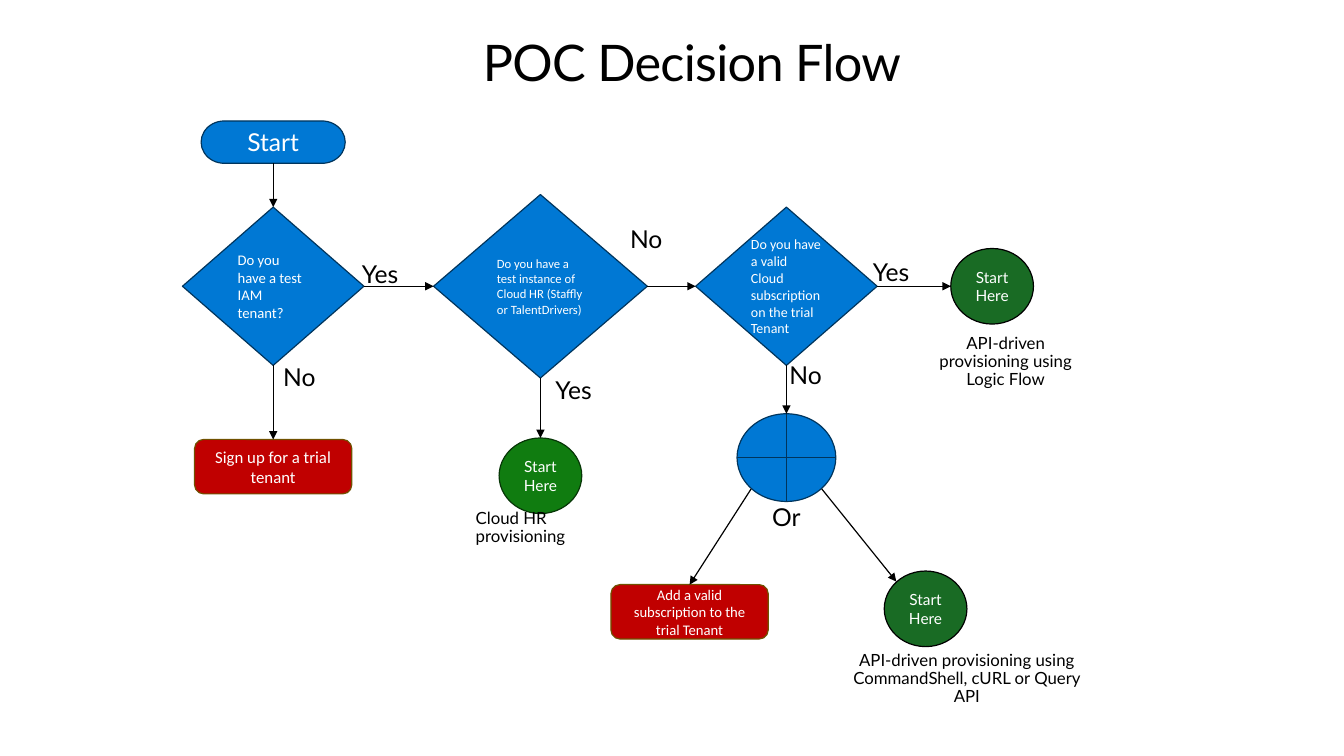
from pptx import Presentation
from pptx.dml.color import RGBColor
from pptx.enum.shapes import MSO_CONNECTOR, MSO_SHAPE
from pptx.enum.text import MSO_ANCHOR, PP_ALIGN
from pptx.oxml.ns import qn
from pptx.util import Inches, Pt
from lxml.etree import SubElement

deck = Presentation()
deck.slide_width, deck.slide_height = Inches(13.33), Inches(7.5)
slide = deck.slides.add_slide(deck.slide_layouts[6])
unit = deck.slide_height / 75
hues = {
    "black": "000000", "white": "FFFFFF", "blue": "0078D4", "navy": "00355D",
    "lime": "107C10", "moss": "073607", "green": "196B24",
    "red": "C00000", "brown": "705100",
}
left, mid, right = 27.1, 53.6, 78
row = 28.4


def grid(*cells):
    return [round(cell * unit) for cell in cells]


def write(shape, text, size, font, hue, align, anchor=MSO_ANCHOR.MIDDLE):
    frame = shape.text_frame
    frame.word_wrap = True
    frame.vertical_anchor = anchor
    para = frame.paragraphs[0]
    para.text = text
    para.alignment = align
    para.font.size = Pt(size)
    para.font.name = font
    para.font.color.rgb = RGBColor.from_string(hues[hue])
    return para


title = slide.shapes.add_textbox(*grid(47.9, 2.2, 52.7, 7.7))
para = write(title, "POC Decision Flow", 36, "Lato", "black", PP_ALIGN.LEFT)
para.runs[0].font._element.set("spc", "-50")
frame = title.text_frame
frame.margin_left = frame.margin_right = frame.margin_top = frame.margin_bottom = 0

kinds = {
    "start": (MSO_SHAPE.FLOWCHART_TERMINATOR, 14.3, 4.2, "blue", "navy", "Lato", PP_ALIGN.CENTER),
    "ask": (MSO_SHAPE.FLOWCHART_DECISION, 18, 15.7, "blue", "navy", "Calibri", PP_ALIGN.LEFT),
    "wide": (MSO_SHAPE.FLOWCHART_DECISION, 21.2, 18.2, "blue", "navy", "Calibri", PP_ALIGN.LEFT),
    "lime": (MSO_SHAPE.FLOWCHART_CONNECTOR, 8.2, 7.5, "lime", "moss", "Lato", PP_ALIGN.CENTER),
    "go": (MSO_SHAPE.FLOWCHART_CONNECTOR, 8.2, 7.5, "green", "black", "Lato", PP_ALIGN.CENTER),
    "task": (MSO_SHAPE.FLOWCHART_ALTERNATE_PROCESS, 15.6, 5.4, "red", "brown", "Calibri", PP_ALIGN.CENTER),
    "or": (MSO_SHAPE.FLOWCHART_OR, 9.8, 8.7, "blue", "navy", "Lato", PP_ALIGN.CENTER),
}
steps = [
    ("start", "start", left, 14.1, "Start", 17.6),
    ("tenant", "ask", left, row, "Do you have a test IAM tenant?", 10.5),
    ("cloud", "wide", mid, row,
     "Do you have a test instance of Cloud HR (Staffly or TalentDrivers)", 9),
    ("plan", "ask", right, row,
     "Do you have a valid Cloud subscription on the trial Tenant", 10),
    ("sign", "task", left, 46.3, "Sign up for a trial tenant", 12),
    ("hr", "lime", mid, 47.2, "Start Here", 11),
    ("flows", "go", 98.4, row, "Start Here", 11),
    ("or", "or", right, 45.4, "", 11),
    ("add", "task", 68.4, 60.7, "Add a valid subscription to the trial Tenant", 10.5),
    ("shell", "go", 91.8, 60.4, "Start Here", 11),
]
nodes = {}
for name, kind, x, y, text, size in steps:
    form, wide, high, fill, edge, font, align = kinds[kind]
    node = slide.shapes.add_shape(form, *grid(x - wide / 2, y - high / 2, wide, high))
    node.shadow.inherit = False
    node.fill.solid()
    node.fill.fore_color.rgb = RGBColor.from_string(hues[fill])
    node.line.color.rgb = RGBColor.from_string(hues[edge])
    node.line.width = Pt(0.85)
    if text:
        write(node, text, size, font, "white", align)
    nodes[name] = node

top, west, south, east = range(4)
links = [
    ("start", south, (left, 16.3), "tenant", top, (left, 20.5)),
    ("tenant", south, (left, 36.3), "sign", top, (left, 43.6)),
    ("tenant", east, (36.1, row), "cloud", west, (43, row)),
    ("cloud", east, (64.2, row), "plan", west, (69, row)),
    ("cloud", south, (mid, 37.5), "hr", top, (mid, 43.5)),
    ("plan", east, (87, row), None, None, (94.3, row)),
    ("plan", south, (right, 36.3), "or", top, (right, 41.1)),
    (None, None, (74.5, 48.5), "add", top, (68.4, 58)),
    (None, None, (81.5, 48.5), None, None, (88.9, 57.7)),
]
for tail, out, begin, head, into, end in links:
    link = slide.shapes.add_connector(MSO_CONNECTOR.STRAIGHT, *grid(*begin, *end))
    if tail:
        link.begin_connect(nodes[tail], out)
    if head:
        link.end_connect(nodes[head], into)
    link.line.color.rgb = RGBColor.from_string(hues["black"])
    link.line.width = Pt(0.85)
    SubElement(link.line._get_or_add_ln(), qn("a:tailEnd"), type="triangle")
    SubElement(link._element.spPr, qn("a:effectLst"))

labels = [
    ("Yes", 34.9, 25.2), ("No", 27.1, 35.4), ("Yes", 54.1, 36.7), ("No", 61.5, 21.7),
    ("No", 77.3, 35.2), ("Yes", 85.6, 25), ("Or", 75.6, 49.3),
]
for text, x, y in labels:
    label = slide.shapes.add_textbox(*grid(x, y, 6.2, 4))
    write(label, text, 17.6, "Lato", "black", PP_ALIGN.LEFT, MSO_ANCHOR.TOP)

notes = [
    ("Cloud HR provisioning", 46.2, 51, 17.3, 2.8, PP_ALIGN.LEFT),
    ("API-driven provisioning using Logic Flow", 90.6, 33.6, 18.3, 4.7, PP_ALIGN.CENTER),
    ("API-driven provisioning using CommandShell, cURL or Query API",
     83.6, 65, 24.6, 4.7, PP_ALIGN.CENTER),
]
for text, x, y, wide, high, align in notes:
    note = slide.shapes.add_textbox(*grid(x, y, wide, high))
    write(note, text, 12, "Lato", "black", align).line_spacing = 0.9

deck.save("out.pptx")
